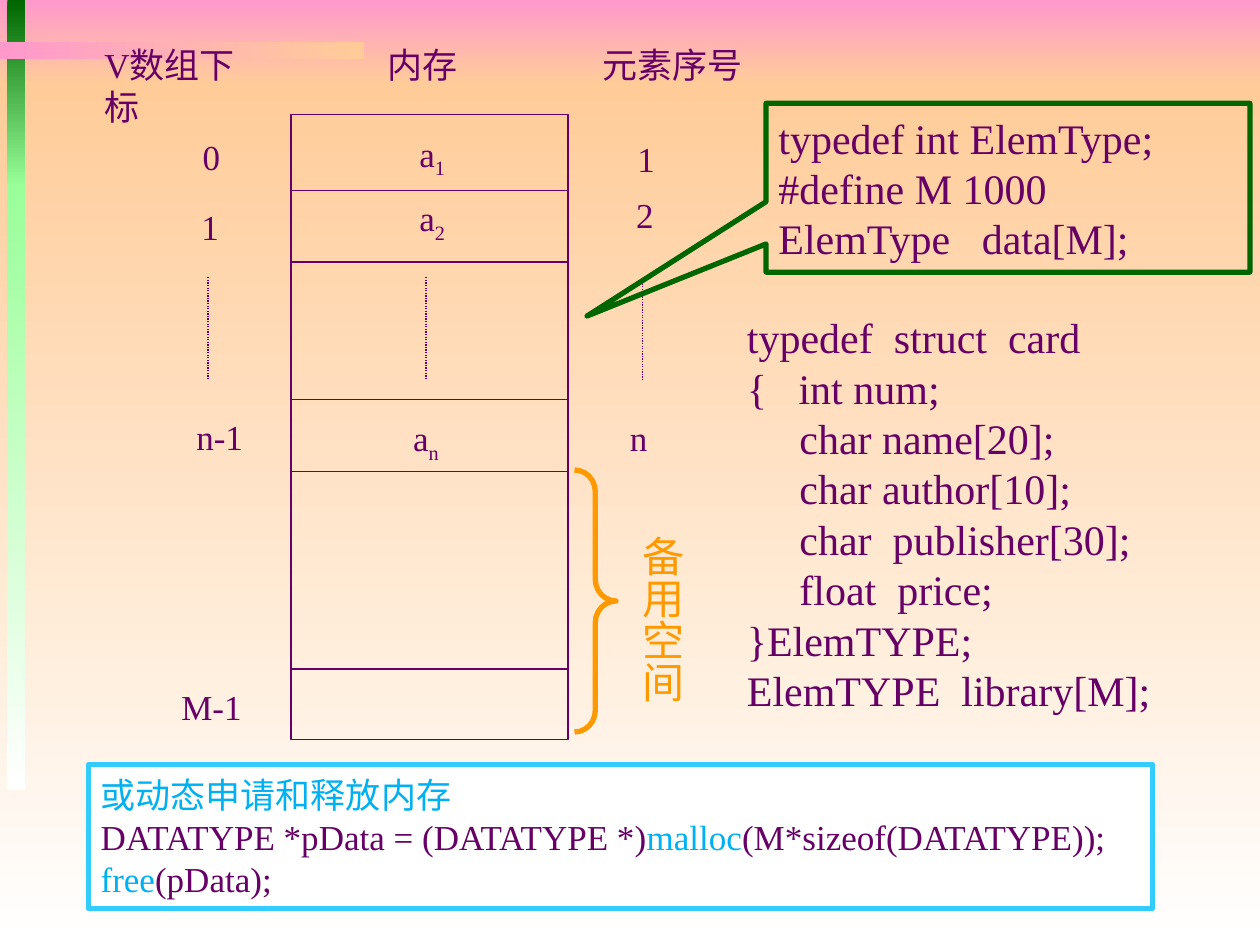
"""Build a slide on how a sequential list is laid out in memory."""
import pptx
import pptx.dml.color
import pptx.enum.dml
import pptx.enum.shapes
import pptx.enum.text
import pptx.util

RGB = pptx.dml.color.RGBColor
SHAPE = pptx.enum.shapes.MSO_SHAPE
ANCHOR = pptx.enum.text.MSO_ANCHOR

PX = 9144
FONT = "Times New Roman"
PURPLE = RGB(0x66, 0x00, 0x66)
PINK = RGB(0xFF, 0x99, 0xCC)
PEACH = RGB(0xFF, 0xCC, 0x99)
WHITE = RGB(0xFF, 0xFF, 0xFF)
DARK_GREEN = RGB(0x00, 0x66, 0x00)
LIGHT_GREEN = RGB(0x99, 0xFF, 0x99)
ORANGE = RGB(0xFF, 0x99, 0x00)
CYAN = RGB(0x33, 0xCC, 0xFF)
BLUE = RGB(0x00, 0xB0, 0xF0)

DOWN, ACROSS = 270, 0
BANDS = [
    ((0, 0, 1000, 67), PINK, PEACH, DOWN),
    ((0, 67, 1000, 683), PEACH, WHITE, DOWN),
    ((6, 0, 14, 148), DARK_GREEN, LIGHT_GREEN, DOWN),
    ((6, 146, 14, 481), LIGHT_GREEN, WHITE, DOWN),
    ((0, 33, 289, 14), PINK, PEACH, ACROSS),
]

MEMORY = (231, 91, 220, 496)
DIVIDERS = [151, 208, 317, 374, 531]
ELLIPSES = [(165, 220), (338, 220), (510, 221)]
ELLIPSIS_LENGTH = 81

HEADINGS = [
    ("V数组下标", (73, 30, 151, 43)),
    ("内存", (298, 30, 76, 43)),
    ("元素序号", (468, 30, 131, 43)),
]
LABELS = [
    ("0", (151, 103, 34, 43)),
    ("1", (150, 158, 34, 43)),
    ("n-1", (146, 325, 57, 43)),
    ("M-1", (134, 539, 68, 43)),
    ("1", (496, 104, 34, 43)),
    ("2", (495, 149, 34, 43)),
    ("n", (490, 326, 34, 43)),
]
ELEMENTS = [
    ("1", (323, 100, 42, 44)),
    ("2", (323, 151, 42, 44)),
    ("n", (318, 326, 42, 44)),
]

ARRAY_CODE = ["typedef int ElemType; #define M 1000", "ElemType   data[M];"]
STRUCT_CODE = [
    "typedef  struct  card",
    "{   int num;",
    "     char name[20];",
    "     char author[10];",
    "     char  publisher[30];",
    "     float  price;",
    "}ElemTYPE;",
    "ElemTYPE  library[M];",
]
DYNAMIC_CODE = [
    [("或动态申请和释放内存", BLUE)],
    [("DATATYPE *pData = (DATATYPE *)", PURPLE), ("malloc", BLUE),
     ("(M*sizeof(DATATYPE));", PURPLE)],
    [("free", BLUE), ("(pData);", PURPLE)],
]


def scaled(lengths):
    return [length * PX for length in lengths]


def add_outline(page, kind, place, colour, width, adjustments=()):
    shape = page.shapes.add_shape(kind, *scaled(place))
    shape.shadow.inherit = False
    shape.fill.background()
    shape.line.color.rgb = colour
    shape.line.width = pptx.util.Pt(width)
    for index, value in enumerate(adjustments):
        shape.adjustments[index] = value
    return shape


def add_band(page, place, first, last, angle):
    band = page.shapes.add_shape(SHAPE.RECTANGLE, *scaled(place))
    band.shadow.inherit = False
    band.line.fill.background()
    band.fill.gradient()
    band.fill.gradient_angle = angle
    for stop, colour in zip(band.fill.gradient_stops, (first, last)):
        stop.color.rgb = colour


def add_line(page, start, end, dash=None):
    line = page.shapes.add_connector(
        pptx.enum.shapes.MSO_CONNECTOR.STRAIGHT, *scaled(start + end))
    line.line.color.rgb = PURPLE
    line.line.width = pptx.util.Pt(0.75)
    if dash:
        line.line.dash_style = dash
    properties = line.element.spPr
    properties.append(properties.makeelement(pptx.oxml.ns.qn("a:effectLst"), {}))


def write(shape, lines, size, wrap=False, anchor=ANCHOR.TOP):
    frame = shape.text_frame
    frame.word_wrap = wrap
    frame.auto_size = pptx.enum.text.MSO_AUTO_SIZE.SHAPE_TO_FIT_TEXT
    frame.vertical_anchor = anchor
    for index, spans in enumerate(lines):
        para = frame.add_paragraph() if index else frame.paragraphs[0]
        para.alignment = pptx.enum.text.PP_ALIGN.LEFT
        for text, colour in spans:
            span = para.add_run()
            span.text = text
            span.font.name = FONT
            span.font.size = pptx.util.Pt(size)
            span.font.color.rgb = colour


def add_text(page, place, lines, size, **options):
    box = page.shapes.add_textbox(*scaled(place))
    write(box, lines, size, **options)
    return box


def in_colour(lines, colour=PURPLE):
    return [[(line, colour)] for line in lines]


def draw_memory(page):
    left, top, width, height = MEMORY
    add_outline(page, SHAPE.RECTANGLE, MEMORY, PURPLE, 0.75)
    for y in DIVIDERS:
        add_line(page, (left, y), (left + width, y))
    for x, y in ELLIPSES:
        add_line(page, (x, y), (x, y + ELLIPSIS_LENGTH),
                 pptx.enum.dml.MSO_LINE.ROUND_DOT)
    for text, place in HEADINGS:
        add_text(page, place, in_colour([text]), 20, wrap=True)
    for text, place in LABELS:
        add_text(page, place, in_colour([text]), 20)
    for subscript, place in ELEMENTS:
        box = add_text(page, place, [[("a", PURPLE), (subscript, PURPLE)]], 20)
        span = box.text_frame.paragraphs[0].runs[1]
        span.font._element.set("baseline", "-25000")


def draw_spare_space(page):
    add_outline(page, SHAPE.RIGHT_BRACE, (456, 373, 33, 208), ORANGE, 3,
                (0.52, 0.5))
    box = add_text(page, (490, 415, 60, 155), in_colour(["备用空间"], ORANGE), 24,
                   wrap=True)
    box.text_frame._txBody.bodyPr.set("vert", "eaVert")


def draw_code(page):
    callout = add_outline(page, SHAPE.RECTANGULAR_CALLOUT, (608, 82, 384, 134),
                          DARK_GREEN, 3, (-0.87, 0.76))
    write(callout, in_colour(ARRAY_CODE), 24, wrap=True, anchor=ANCHOR.MIDDLE)
    add_text(page, (583, 241, 352, 333), in_colour(STRUCT_CODE), 24,
             anchor=ANCHOR.MIDDLE)
    panel = add_outline(page, SHAPE.RECTANGLE, (70, 607, 845, 114), CYAN, 3)
    panel.fill.solid()
    panel.fill.fore_color.rgb = WHITE
    write(panel, DYNAMIC_CODE, 20, anchor=ANCHOR.MIDDLE)


def main():
    deck = pptx.Presentation()
    deck.slide_width, deck.slide_height = scaled((1000, 750))
    page = deck.slides.add_slide(deck.slide_layouts[6])
    for band in BANDS:
        add_band(page, *band)
    draw_memory(page)
    draw_code(page)
    draw_spare_space(page)
    deck.save("out.pptx")


if __name__ == "__main__":
    main()
